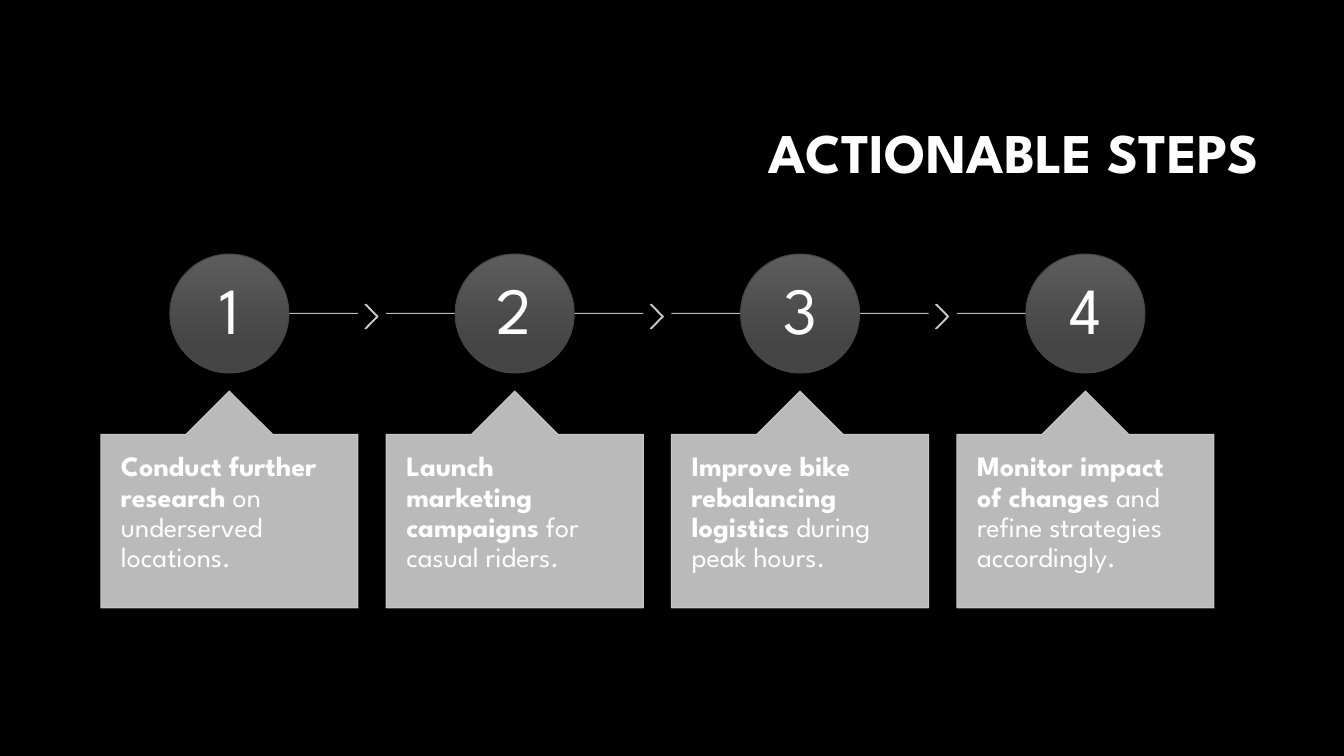
import pptx
import pptx.dml.color
import pptx.enum.shapes
import pptx.enum.text
import pptx.oxml.ns
import pptx.util
from lxml import etree

Inches = pptx.util.Inches
Shape = pptx.enum.shapes.MSO_SHAPE
Align = pptx.enum.text.PP_ALIGN
Anchor = pptx.enum.text.MSO_ANCHOR
qn = pptx.oxml.ns.qn

COLORS = {"background": "000000", "text": "FFFFFF", "panel": "CFCFCF",
          "circle_top": "5C5C5C", "circle_bottom": "454545"}
RGB = {name: pptx.dml.color.RGBColor.from_string(code) for name, code in COLORS.items()}

STEPS = [
    ("Conduct further research", " on underserved locations."),
    ("Launch marketing campaigns", " for casual riders."),
    ("Improve bike rebalancing logistics", " during peak hours."),
    ("Monitor impact of changes", " and refine strategies accordingly."),
]
LEFT, PITCH, CARD_WIDTH = 1, 2.83, 2.55
CIRCLE_TOP, CIRCLE_SIZE, NUMBER_SIZE = 2.52, 1.18, 0.83
LINE_Y = CIRCLE_TOP + CIRCLE_SIZE / 2


def write_text(box, spans, size, align=Align.LEFT, anchor=Anchor.TOP, margins=(0.1, 0.05)):
    """Fill a box with one paragraph made of (text, bold) spans."""
    frame = box.text_frame
    frame.word_wrap = True
    frame.auto_size = pptx.enum.text.MSO_AUTO_SIZE.NONE
    frame.vertical_anchor = anchor
    frame.margin_left = frame.margin_right = Inches(margins[0])
    frame.margin_top = frame.margin_bottom = Inches(margins[1])
    para = frame.paragraphs[0]
    para.alignment = align
    para.line_spacing = 0.9
    for text, bold in spans:
        span = para.add_run()
        span.text = text
        span.font.name = "League Spartan"
        span.font.size = pptx.util.Pt(size)
        span.font.bold = bold
        span.font.color.rgb = RGB["text"]


def style_panel(item, filled=True):
    """Give a shape or connector the light, slightly transparent panel look."""
    if filled:
        item.shadow.inherit = False
        item.fill.solid()
        item.fill.fore_color.rgb = RGB["panel"]
    item.line.color.rgb = RGB["panel"]
    item.line.width = pptx.util.Pt(0.75)
    properties = item._element.spPr
    for color in properties.iter(qn("a:srgbClr")):
        etree.SubElement(color, qn("a:alpha"), val="90000")
    if not filled:
        etree.SubElement(properties, qn("a:effectLst"))


# Deck and background
deck = pptx.Presentation()
deck.slide_width, deck.slide_height = Inches(13.33), Inches(7.5)
page = deck.slides.add_slide(deck.slide_layouts[5])
page.background.fill.solid()
page.background.fill.fore_color.rgb = RGB["background"]
shapes = page.shapes

# Title
title = shapes.title
title.left, title.top = Inches(3.17), Inches(0.84)
title.width, title.height = Inches(9.42), Inches(1.41)
write_text(title, [("ACTIONABLE STEPS", True)], 40, align=Align.RIGHT, anchor=Anchor.MIDDLE)

for index, (lead, rest) in enumerate(STEPS):
    card_left = LEFT + index * PITCH
    center = card_left + CARD_WIDTH / 2
    is_first, is_last = index == 0, index == len(STEPS) - 1

    # Line through the circle, with a chevron towards the next step
    line_start = center + 0.14 if is_first else card_left
    line_end = center if is_last else card_left + CARD_WIDTH
    line = shapes.add_connector(pptx.enum.shapes.MSO_CONNECTOR.STRAIGHT, Inches(line_start),
                                Inches(LINE_Y), Inches(line_end), Inches(LINE_Y))
    style_panel(line, filled=False)
    if not is_last:
        chevron = shapes.add_shape(Shape.CHEVRON, Inches(card_left + 2.62), Inches(3.02),
                                   Inches(0.13), Inches(0.24))
        chevron.adjustments[0] = 0.9
        style_panel(chevron)

    # Numbered circle
    circle = shapes.add_shape(Shape.OVAL, Inches(center - CIRCLE_SIZE / 2), Inches(CIRCLE_TOP),
                              Inches(CIRCLE_SIZE), Inches(CIRCLE_SIZE))
    circle.shadow.inherit = False
    circle.fill.gradient()
    circle.fill.gradient_angle = 270
    for stop, position, name in zip(circle.fill.gradient_stops, (0, 0.78),
                                    ("circle_top", "circle_bottom")):
        stop.position = position
        stop.color.rgb = RGB[name]
    circle.line.color.rgb = RGB["circle_bottom"]
    circle.line.width = pptx.util.Pt(0.75)
    number = shapes.add_textbox(Inches(center - NUMBER_SIZE / 2), Inches(LINE_Y - NUMBER_SIZE / 2),
                                Inches(NUMBER_SIZE), Inches(NUMBER_SIZE))
    write_text(number, [(str(index + 1), False)], 47, align=Align.CENTER,
               anchor=Anchor.MIDDLE, margins=(0.05, 0.05))

    # Callout card with its text
    card = shapes.add_shape(Shape.UP_ARROW_CALLOUT, Inches(card_left), Inches(3.88),
                            Inches(CARD_WIDTH), Inches(2.15))
    for position, value in enumerate((0.5, 0.2, 0.2, 1)):
        card.adjustments[position] = value
    style_panel(card)
    description = shapes.add_textbox(Inches(card_left), Inches(4.31),
                                     Inches(CARD_WIDTH), Inches(1.72))
    write_text(description, [(lead, True), (rest, False)], 20, margins=(0.2, 0.18))

deck.save("out.pptx")
